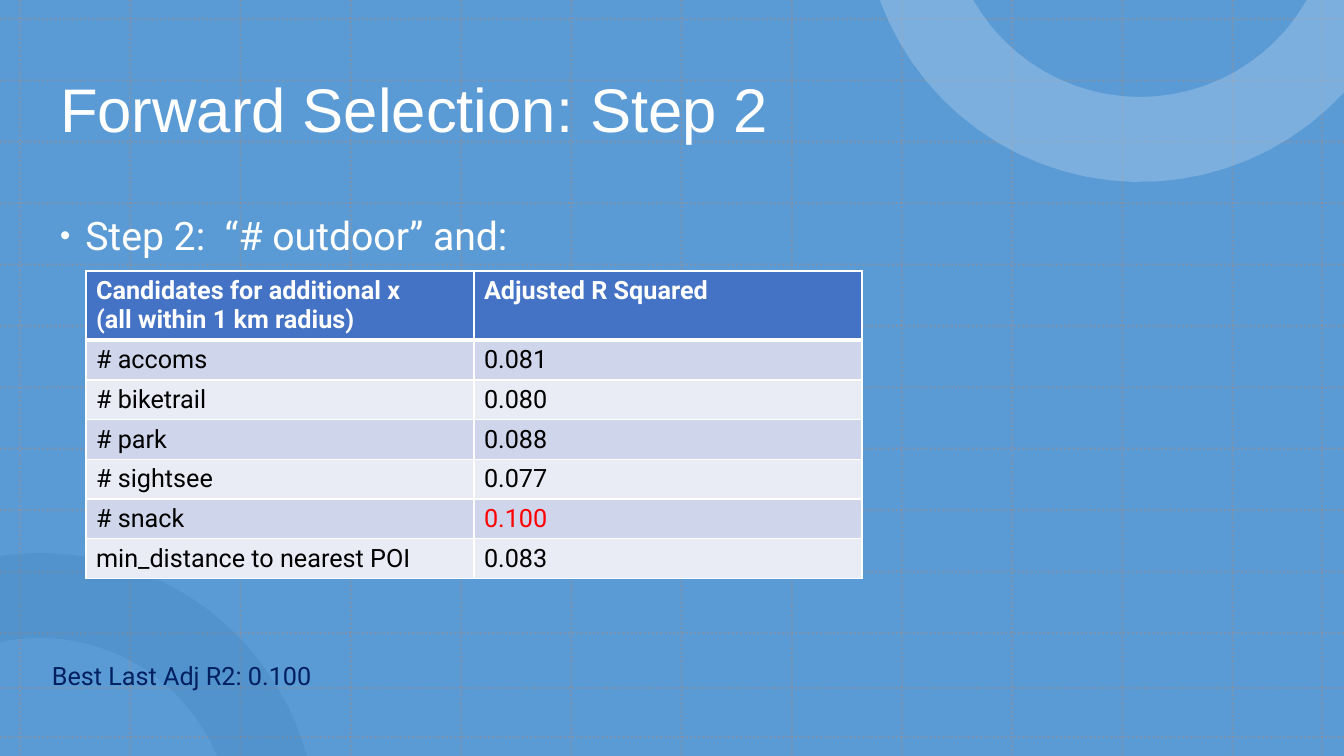
from math import cos, radians, sin

from lxml.etree import SubElement
from pptx import Presentation
from pptx.dml.color import RGBColor
from pptx.enum.dml import MSO_LINE
from pptx.enum.shapes import MSO_CONNECTOR, MSO_SHAPE
from pptx.enum.text import MSO_ANCHOR, MSO_AUTO_SIZE, PP_ALIGN
from pptx.oxml.ns import qn
from pptx.util import Pt

WIDTH, HEIGHT = 1344, 756
SCALE = 914400 / 100.8
ARC_STEPS = 24
BEST = "0.100"
ROWS = [
    ("Candidates for additional x\v(all within 1 km radius)", "Adjusted R Squared"),
    ("# accoms", "0.081"),
    ("# biketrail", "0.080"),
    ("# park", "0.088"),
    ("# sightsee", "0.077"),
    ("# snack", BEST),
    ("min_distance to nearest POI", "0.083"),
]


def px(*lengths):
    """Turn pixel lengths into a list of EMU."""
    return [round(length * SCALE) for length in lengths]


def color(value):
    """Turn a hex string into a colour."""
    return RGBColor.from_string(value)


def set_alpha(shape, percent):
    """Make the colour of a shape or line partly transparent."""
    for node in shape.element.iter(qn("a:srgbClr")):
        SubElement(node, qn("a:alpha")).set("val", str(percent * 1000))


def paint(shape, fill):
    """Give a shape a plain fill without outline or shadow."""
    shape.shadow.inherit = False
    shape.fill.solid()
    shape.fill.fore_color.rgb = color(fill)
    shape.line.fill.background()


def format_text(para, size, value, font="Roboto", bold=False):
    """Format every run of a paragraph."""
    for span in para.runs:
        span.font.name = font
        span.font.size = Pt(size)
        span.font.bold = bold
        span.font.color.rgb = color(value)


def add_grid_line(slide, *ends):
    """Draw one faint dotted line of the background grid."""
    line = slide.shapes.add_connector(MSO_CONNECTOR.STRAIGHT, *px(*ends))
    line.line.width = Pt(1.5)
    line.line.color.rgb = color("ED7D31")
    line.line.dash_style = MSO_LINE.ROUND_DOT
    set_alpha(line, 20)
    SubElement(line.element.spPr, qn("a:effectLst"))


def add_grid(slide):
    """Draw the evenly spaced grid with its closing lines."""
    for x in [20 + 110.25 * i for i in range(12)] + [1322]:
        add_grid_line(slide, x, 0, x, HEIGHT)
    for y in [19 + 61.4 * i for i in range(11)] + [688, 737]:
        add_grid_line(slide, 0, y, WIDTH, y)


def arc_points(center, radius, start, end):
    """List points along an arc between two angles in degrees."""
    angles = [radians(start + (end - start) * i / ARC_STEPS) for i in range(ARC_STEPS + 1)]
    return [(center[0] + radius * cos(a), center[1] + radius * sin(a)) for a in angles]


def add_ring(slide, center, outer, inner, fill, alpha, corners=()):
    """Draw the part of a ring between its outer and inner angle ranges."""
    outline = arc_points(center, 277, *outer) + arc_points(center, 192, *inner)
    points = [px(*point) for point in [*outline, *corners]]
    builder = slide.shapes.build_freeform(*points[0], scale=1.0)
    builder.add_line_segments(points[1:], close=True)
    ring = builder.convert_to_shape()
    paint(ring, fill)
    set_alpha(ring, alpha)


def fill_placeholder(box, area, text, anchor):
    """Place a placeholder in front, set its text and return the paragraph."""
    box.element.getparent().append(box.element)
    box.left, box.top, box.width, box.height = px(*area)
    frame = box.text_frame
    frame.text = text
    frame.word_wrap = True
    frame.auto_size = MSO_AUTO_SIZE.NONE
    frame.vertical_anchor = anchor
    para = frame.paragraphs[0]
    para.alignment = PP_ALIGN.LEFT
    return para


def set_bullet(para):
    """Give a paragraph a small white bullet with a hanging indent."""
    props = para._p.get_or_add_pPr()
    props.set("marL", "228600")
    props.set("indent", "-228600")
    SubElement(SubElement(props, qn("a:buClr")), qn("a:srgbClr")).set("val", "FFFFFF")
    SubElement(props, qn("a:buSzPct")).set("val", "75000")
    SubElement(props, qn("a:buFont")).set("typeface", "Arial")
    SubElement(props, qn("a:buChar")).set("char", "\u2022")


def set_borders(cell, top, bottom):
    """Draw white borders, the top and bottom ones in their own widths."""
    props = cell._tc.get_or_add_tcPr()
    widths = {"a:lnL": 1, "a:lnR": 1, "a:lnT": top, "a:lnB": bottom}
    for index, (tag, width) in enumerate(widths.items()):
        line = props.makeelement(qn(tag), {"w": str(Pt(width))})
        SubElement(SubElement(line, qn("a:solidFill")), qn("a:srgbClr")).set("val", "FFFFFF")
        props.insert(index, line)


def add_candidates(slide):
    """Build the table of candidates, with the best value in red."""
    table = slide.shapes.add_table(len(ROWS), 2, *px(86, 271, 776, 307)).table
    for row, texts in enumerate(ROWS):
        header = row == 0
        table.rows[row].height = px(69 if header else 39.6)[0]
        fill = "4472C4" if header else ("E9EBF5", "CFD5EA")[row % 2]
        for column, text in enumerate(texts):
            cell = table.cell(row, column)
            cell.text_frame.text = text
            cell.fill.solid()
            cell.fill.fore_color.rgb = color(fill)
            value = "FFFFFF" if header else "FF0000" if text == BEST else "000000"
            format_text(cell.text_frame.paragraphs[0], 18, value, bold=header)
            set_borders(cell, 3 if row == 1 else 1, 3 if header else 1)


def add_note(slide):
    """Add the line with the best result."""
    box = slide.shapes.add_textbox(*px(42, 655, 285, 40))
    frame = box.text_frame
    frame.text = f"Best Last Adj R2: {BEST}"
    frame.word_wrap = False
    frame.auto_size = MSO_AUTO_SIZE.SHAPE_TO_FIT_TEXT
    format_text(frame.paragraphs[0], 18, "002060")


def main():
    """Build the slide and save the deck."""
    deck = Presentation()
    deck.slide_width, deck.slide_height = px(WIDTH, HEIGHT)
    slide = deck.slides.add_slide(deck.slide_layouts[1])
    title, body = slide.placeholders

    backdrop = slide.shapes.add_shape(MSO_SHAPE.RECTANGLE, *px(0, 0, WIDTH, HEIGHT))
    paint(backdrop, "5B9BD5")
    add_grid(slide)
    add_ring(slide, (40, 830), (261.7, 344.5), (337.33, 257.97), "2E75B6", 20)
    add_ring(slide, (1140, -95), (42.57, 159.94), (150.35, 29.65), "9DC3E6", 50, [(WIDTH, 0)])

    heading = fill_placeholder(
        title, (50, 40, 1182, 146), "Forward Selection: Step 2", MSO_ANCHOR.MIDDLE)
    heading.line_spacing = 0.9
    format_text(heading, 44, "FFFFFF", "Arial")

    step = fill_placeholder(
        body, (50, 202, 1182, 480), "Step 2:  “# outdoor” and:", MSO_ANCHOR.TOP)
    step.line_spacing = 1.1
    step.space_before = Pt(10)
    set_bullet(step)
    format_text(step, 28, "FFFFFF")

    add_candidates(slide)
    add_note(slide)
    deck.save("out.pptx")


main()
